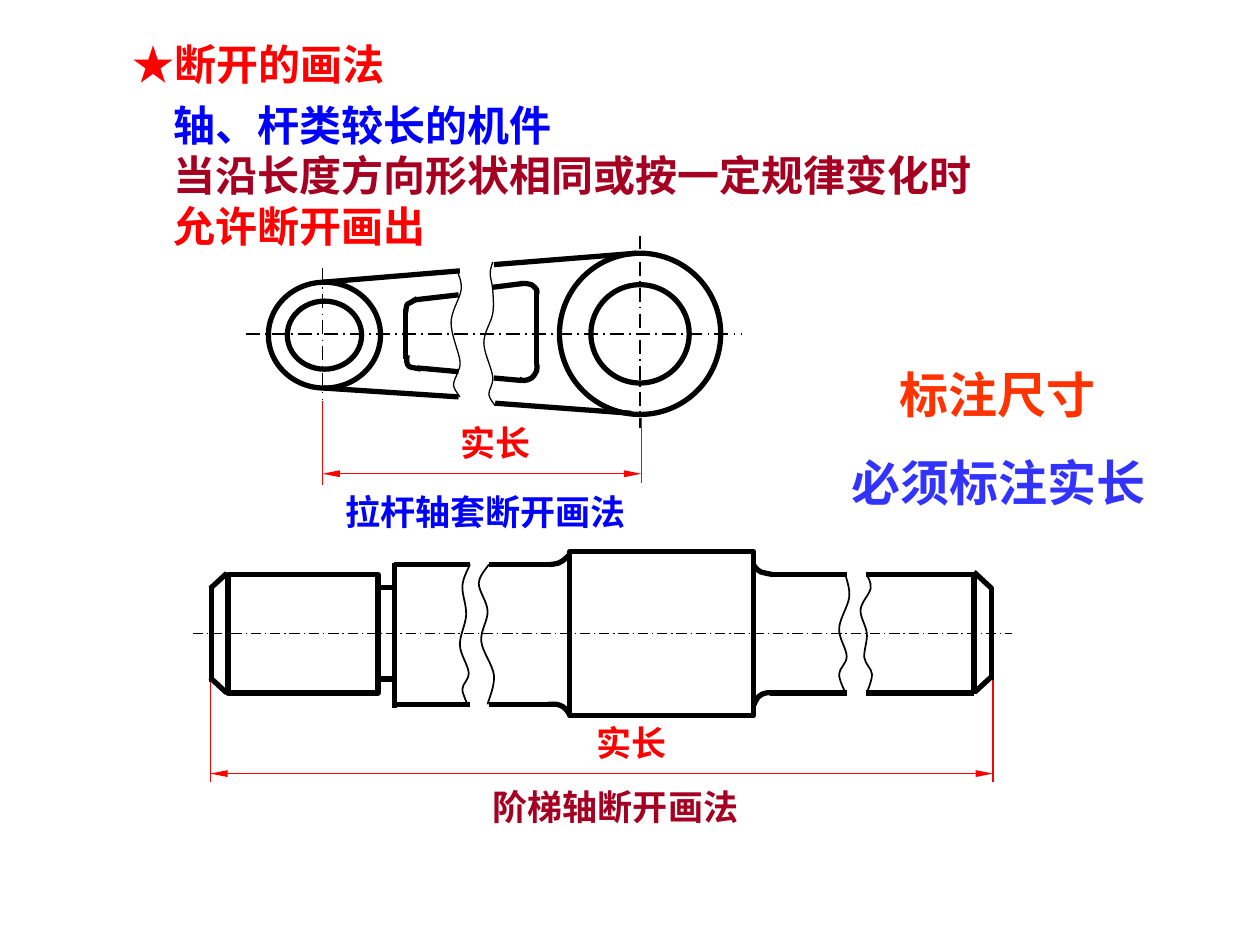
from typing import NamedTuple

from lxml.etree import SubElement
from pptx import Presentation
from pptx.dml.color import RGBColor
from pptx.enum.dml import MSO_LINE
from pptx.enum.shapes import MSO_CONNECTOR, MSO_SHAPE
from pptx.enum.text import MSO_ANCHOR, MSO_AUTO_SIZE, PP_ALIGN
from pptx.oxml.ns import qn
from pptx.util import Cm, Pt

BLACK, RED, BLUE, MAROON = "000000", "FF0000", "0000FF", "A50021"
OUTLINE, AXIS, THIN = 3, 1, 0.75
Points = list[tuple[float, float]]


class Label(NamedTuple):
    x: float
    y: float
    w: float
    h: float
    lines: list[tuple[str, str]]  # text, colour
    size: int
    align: PP_ALIGN = PP_ALIGN.LEFT
    anchor: MSO_ANCHOR = MSO_ANCHOR.MIDDLE
    wrap: bool = True
    font: str = "Times New Roman"


class Dimension(NamedTuple):
    left: tuple[float, float]   # x and top of the left extension line
    right: tuple[float, float]
    bottoms: tuple[float, float]
    y: float
    label: Label


def grid(v: float) -> Cm:
    """Drawing units are 2.54 cm."""
    return Cm(v * 2.54)


def rgb(color: str) -> RGBColor:
    return RGBColor.from_string(color)


def style_line(s, width: float, color: str = BLACK) -> None:
    s.line.color.rgb = rgb(color)
    s.line.width = Pt(width)


def add_line(shapes, x1: float, y1: float, x2: float, y2: float,
             width: float = OUTLINE, color: str = BLACK,
             axis: bool = False, arrows: bool = False) -> None:
    s = shapes.add_connector(MSO_CONNECTOR.STRAIGHT,
                             grid(x1), grid(y1), grid(x2), grid(y2))
    style_line(s, width, color)
    if axis:
        s.line.dash_style = MSO_LINE.LONG_DASH_DOT
    if arrows:
        ln = s.line._get_or_add_ln()
        for end in ("a:headEnd", "a:tailEnd"):
            SubElement(ln, qn(end), type="triangle", w="sm", len="lg")
    SubElement(s._element.spPr, qn("a:effectLst"))


def add_outline(shapes, kind: MSO_SHAPE, x: float, y: float,
                w: float, h: float):
    s = shapes.add_shape(kind, grid(x), grid(y), grid(w), grid(h))
    s.shadow.inherit = False
    s.fill.background()
    style_line(s, OUTLINE)
    return s


def add_curve(shapes, points: Points, width: float = OUTLINE) -> None:
    """Smooth open curve through the points (Catmull-Rom as Béziers)."""
    emu = [(grid(x), grid(y)) for x, y in points]
    fb = shapes.build_freeform(*emu[0])
    fb.add_line_segments(emu[1:], close=False)
    s = fb.convert_to_shape()
    s.shadow.inherit = False
    s.fill.background()
    style_line(s, width)

    pts = [(int(pt.get("x")), int(pt.get("y")))
           for pt in s._element.iter(qn("a:pt"))]
    padded = [pts[0], *pts, pts[-1]]
    for i, seg in enumerate(list(s._element.iter(qn("a:lnTo")))):
        p0, p1, p2, p3 = padded[i:i + 4]
        controls = ([a + (c - b) / 6 for a, b, c in zip(p1, p0, p2)],
                    [a - (c - b) / 6 for a, b, c in zip(p2, p1, p3)])
        seg.tag = qn("a:cubicBezTo")
        for k, (cx, cy) in enumerate(controls):
            pt = SubElement(seg, qn("a:pt"), x=str(round(cx)), y=str(round(cy)))
            seg.insert(k, pt)


def add_label(shapes, label: Label) -> None:
    s = shapes.add_textbox(*map(grid, label[:4]))
    tf = s.text_frame
    tf.word_wrap = label.wrap
    tf.auto_size = MSO_AUTO_SIZE.SHAPE_TO_FIT_TEXT
    tf.vertical_anchor = label.anchor
    for i, (text, color) in enumerate(label.lines):
        p = tf.add_paragraph() if i else tf.paragraphs[0]
        p.text = text
        p.alignment = label.align
        p.font.name = label.font
        p.font.size = Pt(label.size)
        p.font.bold = True
        p.font.color.rgb = rgb(color)


def add_dimension(shapes, d: Dimension) -> None:
    for (x, top), bottom in zip((d.left, d.right), d.bottoms):
        add_line(shapes, x, top, x, bottom, THIN, RED)
    add_line(shapes, d.left[0], d.y, d.right[0], d.y, THIN, RED, arrows=True)
    add_label(shapes, d.label)


def draw_rod(shapes) -> None:
    # Centre lines
    for x1, y1, x2, y2 in [(1.95, 2.65, 5.89, 2.65), (5.08, 1.87, 5.08, 3.4),
                           (2.56, 2.13, 2.56, 3.17)]:
        add_line(shapes, x1, y1, x2, y2, AXIS, axis=True)
    # Bosses with bores
    for x, y, w, h, wall in [(4.44, 2.01, 1.28, 1.28, 0.25),
                             (2.13, 2.24, 0.89, 0.84, 0.15)]:
        ring = add_outline(shapes, MSO_SHAPE.DONUT, x, y, w, h)
        ring.adjustments[0] = wall / h
    # Rod edges and recess
    for ends in [(3.92, 2.1, 5.05, 2.01), (3.93, 3.2, 5.01, 3.28),
                 (2.56, 2.24, 3.65, 2.15), (2.57, 3.08, 3.64, 3.15),
                 (3.91, 2.28, 4.15, 2.25), (3.92, 3, 4.14, 3.02),
                 (3.29, 2.38, 3.64, 2.34), (3.31, 2.92, 3.64, 2.95),
                 (4.26, 2.31, 4.26, 2.9), (3.22, 2.45, 3.22, 2.85)]:
        add_line(shapes, *ends)
    # Recess corners
    for corner in [
        [(3.31, 2.37), (3.26, 2.4), (3.23, 2.42), (3.22, 2.48)],
        [(3.23, 2.82), (3.23, 2.88), (3.25, 2.91), (3.29, 2.92), (3.34, 2.93)],
        [(4.13, 2.25), (4.18, 2.25), (4.22, 2.26), (4.26, 2.3), (4.26, 2.33)],
        [(4.12, 3.01), (4.16, 3.02), (4.22, 3), (4.26, 2.94), (4.26, 2.89)],
    ]:
        add_curve(shapes, corner)
    # Break lines
    for wave in [
        [(3.63, 2.15), (3.66, 2.3), (3.58, 2.56), (3.65, 2.86), (3.63, 2.96),
         (3.6, 3.06), (3.65, 3.15)],
        [(3.91, 2.08), (3.89, 2.17), (3.91, 2.3), (3.91, 2.49), (3.84, 2.72),
         (3.91, 2.99), (3.88, 3.13), (3.93, 3.22)],
    ]:
        add_curve(shapes, wave, THIN)
    add_label(shapes, Label(2.64, 3.84, 2.48, 0.44,
                            [("拉杆轴套断开画法", BLUE)], 20, wrap=False))


def draw_shaft(shapes) -> None:
    add_line(shapes, 1.53, 5.03, 8.03, 5.03, THIN, axis=True)
    # Left journal and large collar
    for box in [(1.81, 4.56, 1.19, 0.94), (4.52, 4.38, 1.46, 1.3)]:
        add_outline(shapes, MSO_SHAPE.RECTANGLE, *box)
    # Upper and lower edges of each step
    for x1, x2, top, bottom in [(3, 3.13, 4.66, 5.39), (3.13, 3.73, 4.48, 5.59),
                                (3.88, 4.39, 4.48, 5.59), (6.11, 6.72, 4.56, 5.5),
                                (6.87, 7.73, 4.56, 5.5)]:
        for y in (top, bottom):
            add_line(shapes, x1, y, x2, y)
    # Shoulders and end faces
    for x, top, bottom in [(1.68, 4.65, 5.41), (3.13, 4.47, 5.62),
                           (7.73, 4.54, 5.51), (7.87, 4.66, 5.4)]:
        add_line(shapes, x, top, x, bottom)
    # Chamfers
    for ends in [(1.8, 4.55, 1.67, 4.67), (1.8, 5.5, 1.67, 5.38),
                 (7.73, 4.54, 7.87, 4.67), (7.74, 5.49, 7.87, 5.37)]:
        add_line(shapes, *ends)
    # Fillets
    for fillet in [
        [(4.37, 4.48), (4.43, 4.47), (4.48, 4.44), (4.52, 4.4)],
        [(4.35, 5.59), (4.42, 5.59), (4.47, 5.61), (4.5, 5.64), (4.52, 5.67)],
        [(6.13, 4.56), (6.08, 4.55), (6.04, 4.54), (6, 4.51), (5.98, 4.48)],
        [(6.16, 5.5), (6.08, 5.5), (6.02, 5.53), (5.98, 5.6)],
    ]:
        add_curve(shapes, fillet)
    # Break lines
    for wave in [
        [(3.73, 4.48), (3.67, 4.65), (3.7, 4.88), (3.65, 5.12), (3.72, 5.34),
         (3.67, 5.47), (3.72, 5.61)],
        [(3.88, 4.48), (3.8, 4.63), (3.87, 4.85), (3.82, 5.09), (3.92, 5.36),
         (3.87, 5.59)],
        [(6.71, 4.56), (6.74, 4.74), (6.66, 4.99), (6.72, 5.21), (6.66, 5.35),
         (6.71, 5.5)],
        [(6.88, 4.56), (6.91, 4.67), (6.83, 4.84), (6.88, 5.03), (6.86, 5.22),
         (6.92, 5.35), (6.88, 5.5)],
    ]:
        add_curve(shapes, wave, AXIS)
    add_label(shapes, Label(3.79, 6.18, 2.19, 0.44, [("阶梯轴断开画法", MAROON)],
                            20, PP_ALIGN.CENTER, wrap=False))


def main() -> None:
    prs = Presentation()
    prs.slide_width, prs.slide_height = grid(10), grid(7.5)
    shapes = prs.slides.add_slide(prs.slide_layouts[6]).shapes

    # True-length dimensions
    true_length = [("实长", RED)]
    for d in [
        Dimension((2.56, 3.18), (5.09, 3.32), (3.85, 3.83), 3.76,
                  Label(3.24, 3.29, 1.38, 0.44, true_length, 20, PP_ALIGN.CENTER)),
        Dimension((1.67, 5.36), (7.88, 5.37), (6.21, 6.21), 6.14,
                  Label(4.23, 5.67, 1.57, 0.44, true_length, 20, PP_ALIGN.CENTER)),
    ]:
        add_dimension(shapes.add_group_shape().shapes, d)

    # Heading, rule and remarks
    for label in [
        Label(0.95, 0.26, 3.17, 0.5, [("★断开的画法", RED)], 24,
              anchor=MSO_ANCHOR.TOP, font="Noto Sans CJK SC"),
        Label(1.28, 0.74, 7.08, 1.3,
              [("轴、杆类较长的机件", BLUE),
               ("当沿长度方向形状相同或按一定规律变化时", MAROON),
               ("允许断开画出", RED)], 24),
        Label(7.04, 2.84, 2.05, 0.57, [("标注尺寸", "FF3300")], 28),
        Label(6.66, 3.54, 2.98, 0.57, [("必须标注实长", "3333FF")], 28,
              anchor=MSO_ANCHOR.TOP),
    ]:
        add_label(shapes, label)

    # Part drawings
    for draw in (draw_rod, draw_shaft):
        draw(shapes.add_group_shape().shapes)
    prs.save("out.pptx")


if __name__ == "__main__":
    main()
